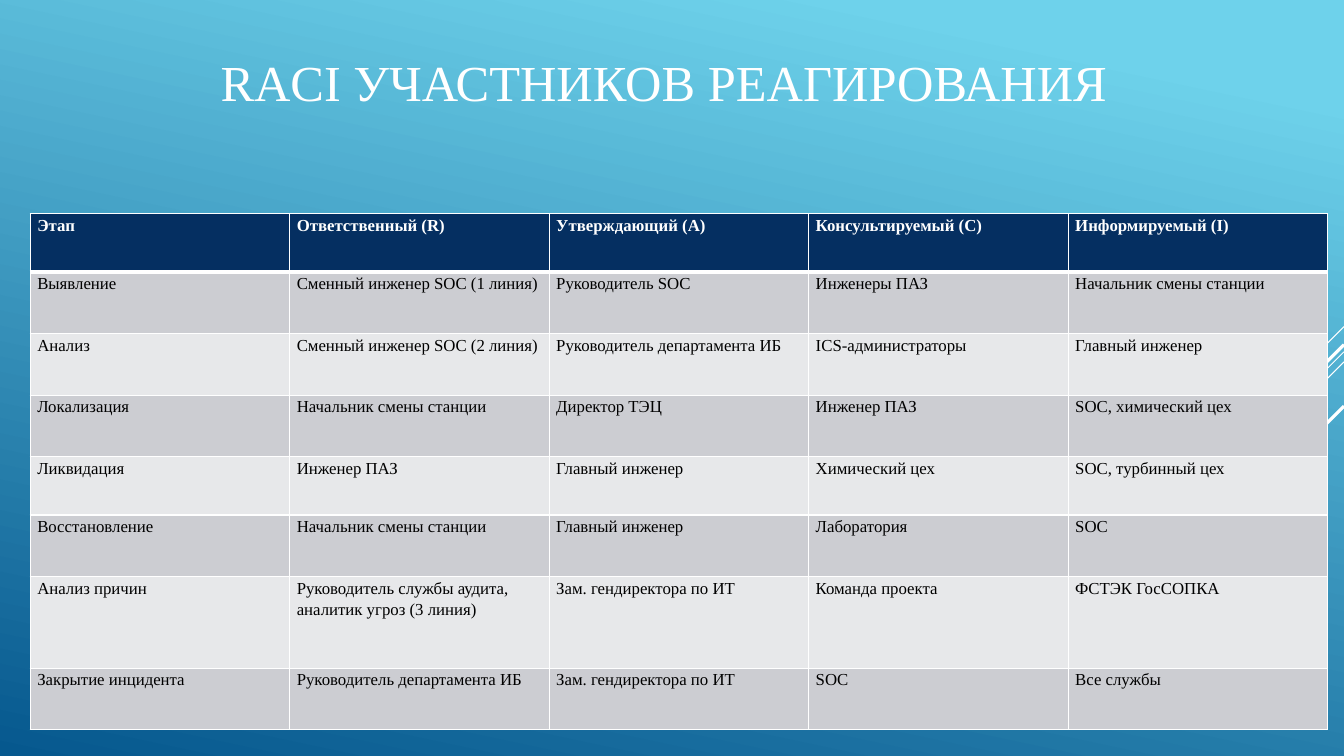
from dataclasses import dataclass

import pptx
import pptx.dml.color
import pptx.enum.shapes
import pptx.enum.text
import pptx.oxml
import pptx.oxml.ns
import pptx.util

SLIDE_WIDTH = pptx.util.Inches(13.33)
SLIDE_HEIGHT = pptx.util.Inches(7.5)
GRID_COLUMNS, GRID_ROWS = 133.3, 75

FONT = "Times New Roman"
WHITE, BLACK, NAVY = "FFFFFF", "000000", "052F61"
BAND_FILLS = ("CCCDD2", "E7E8EA")
BORDER, HEADER_RULE = 1, 3

TITLE = "RACI УЧАСТНИКОВ РЕАГИРОВАНИЯ"
RACI_COLUMN = 25.74
HEADER = ("Этап", "Ответственный (R)", "Утверждающий (A)",
          "Консультируемый (C)", "Информируемый (I)")


@dataclass(frozen=True)
class Ray:
    """A 45-degree line running down and left from the right edge."""
    start_row: float
    run: float
    weight: float


@dataclass(frozen=True)
class Stage:
    cells: tuple[str, ...]
    height: float = 6.1


RAYS = (
    Ray(32.4, 10, 0.75),
    Ray(34.9, 32.6, 0.75),
    Ray(35.9, 20.7, 0.75),
    Ray(34.2, 19.1, 2.25),
    Ray(40.3, 13.9, 2.25),
)

STAGES = (
    Stage(("Выявление", "Сменный инженер SOC (1 линия)", "Руководитель SOC",
           "Инженеры ПАЗ", "Начальник смены станции")),
    Stage(("Анализ", "Сменный инженер SOC (2 линия)", "Руководитель департамента ИБ",
           "ICS-администраторы", "Главный инженер")),
    Stage(("Локализация", "Начальник смены станции", "Директор ТЭЦ",
           "Инженер ПАЗ", "SOC, химический цех")),
    Stage(("Ликвидация", "Инженер ПАЗ", "Главный инженер",
           "Химический цех", "SOC, турбинный цех"), 5.8),
    Stage(("Восстановление", "Начальник смены станции", "Главный инженер",
           "Лаборатория", "SOC")),
    Stage(("Анализ причин", "Руководитель службы аудита, аналитик угроз (3 линия)",
           "Зам. гендиректора по ИТ", "Команда проекта", "ФСТЭК ГосСОПКА"), 9.1),
    Stage(("Закрытие инцидента", "Руководитель департамента ИБ",
           "Зам. гендиректора по ИТ", "SOC", "Все службы")),
)


def across(columns: float) -> int:
    return round(SLIDE_WIDTH * columns / GRID_COLUMNS)


def down(rows: float) -> int:
    return round(SLIDE_HEIGHT * rows / GRID_ROWS)


def color(value: str) -> pptx.dml.color.RGBColor:
    return pptx.dml.color.RGBColor.from_string(value)


def write(text_frame, text: str, *, size: float, fill: str, bold: bool = False,
          align=pptx.enum.text.PP_ALIGN.LEFT, spacing: float = 1.0) -> None:
    text_frame.word_wrap = True
    paragraph = text_frame.paragraphs[0]
    paragraph.alignment = align
    paragraph.line_spacing = spacing
    run = paragraph.add_run()
    run.text = text
    run.font.name = FONT
    run.font.size = pptx.util.Pt(size)
    run.font.bold = bold
    run.font.color.rgb = color(fill)


def paint_background(slide) -> None:
    fill = slide.background.fill
    fill.gradient()
    fill.gradient_angle = 360 - 102
    for stop, (position, value) in zip(fill.gradient_stops,
                                       ((0.1, "6ED2EB"), (1, "06588E"))):
        stop.position = position
        stop.color.rgb = color(value)


def draw_ray(slide, ray: Ray) -> None:
    line = slide.shapes.add_connector(
        pptx.enum.shapes.MSO_CONNECTOR.STRAIGHT,
        across(GRID_COLUMNS), down(ray.start_row),
        across(GRID_COLUMNS - ray.run), down(ray.start_row + ray.run))
    line.line.color.rgb = color(WHITE)
    line.line.width = pptx.util.Pt(ray.weight)
    line._element.spPr.append(pptx.oxml.parse_xml(
        f'<a:effectLst {pptx.oxml.ns.nsdecls("a")}/>'))


def draw_title(slide) -> None:
    title = slide.shapes.add_textbox(across(0), down(-0.2), across(131.7), down(16.5))
    title.text_frame.vertical_anchor = pptx.enum.text.MSO_ANCHOR.MIDDLE
    write(title.text_frame, TITLE, size=36, fill=WHITE,
          align=pptx.enum.text.PP_ALIGN.CENTER)


def set_borders(cell, *, top: float, bottom: float) -> None:
    properties = cell._tc.get_or_add_tcPr()
    sides = (("L", BORDER), ("R", BORDER), ("T", top), ("B", bottom))
    for index, (side, weight) in enumerate(sides):
        properties.insert(index, pptx.oxml.parse_xml(
            f'<a:ln{side} {pptx.oxml.ns.nsdecls("a")} w="{pptx.util.Pt(weight)}">'
            f'<a:solidFill><a:srgbClr val="{WHITE}"/></a:solidFill></a:ln{side}>'))


def fill_cell(cell, text: str, row_index: int) -> None:
    is_header = row_index == 0
    cell.margin_left = cell.margin_right = across(0.7)
    cell.margin_top = cell.margin_bottom = 0
    cell.fill.solid()
    cell.fill.fore_color.rgb = color(
        NAVY if is_header else BAND_FILLS[(row_index - 1) % 2])
    set_borders(cell, top=HEADER_RULE if row_index == 1 else BORDER,
                bottom=HEADER_RULE if is_header else BORDER)
    write(cell.text_frame, text, size=12, fill=WHITE if is_header else BLACK,
          bold=is_header, spacing=1.15)


def draw_raci_table(slide) -> None:
    rows = (Stage(HEADER, 5.8), *STAGES)
    table = slide.shapes.add_table(
        len(rows), len(HEADER), across(3), down(21.2),
        across(RACI_COLUMN * len(HEADER)),
        down(sum(row.height for row in rows))).table
    table.horz_banding = False
    for column in table.columns:
        column.width = across(RACI_COLUMN)
    for row_index, row in enumerate(rows):
        table.rows[row_index].height = down(row.height)
        for column_index, text in enumerate(row.cells):
            fill_cell(table.cell(row_index, column_index), text, row_index)


def main() -> None:
    presentation = pptx.Presentation()
    presentation.slide_width = SLIDE_WIDTH
    presentation.slide_height = SLIDE_HEIGHT
    slide = presentation.slides.add_slide(presentation.slide_layouts[6])
    paint_background(slide)
    for ray in RAYS:
        draw_ray(slide, ray)
    draw_title(slide)
    draw_raci_table(slide)
    presentation.save("out.pptx")


if __name__ == "__main__":
    main()
